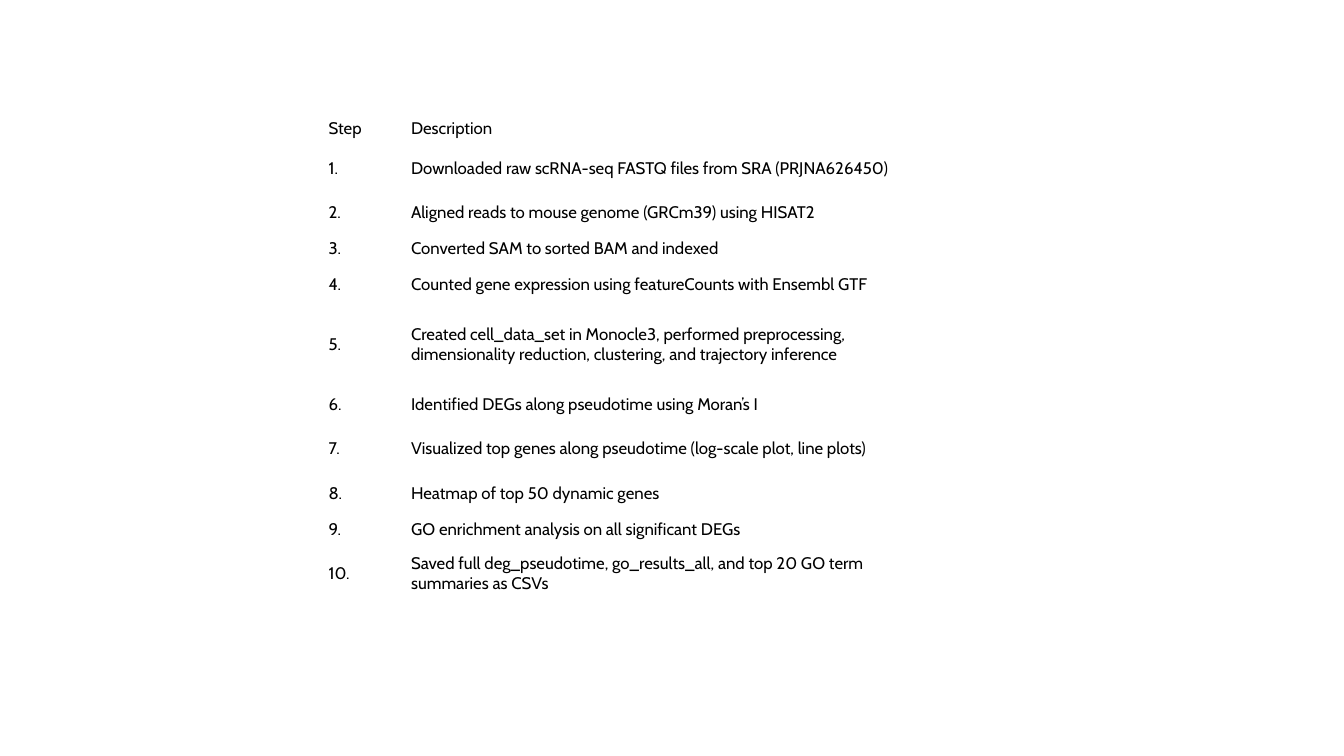
from pptx import Presentation
from pptx.dml.color import RGBColor
from pptx.enum.text import MSO_ANCHOR as Anchor
from pptx.util import Cm, Pt

BLACK = RGBColor(0x00, 0x00, 0x00)

SHORT, MEDIUM, TALL = 0.91, 1.32, 2.11
HEADER = ("Step", "Description")
HEADER_HEIGHT = 0.53
STEPS = [
    ("Downloaded raw scRNA-seq FASTQ files from SRA (PRJNA626450)", MEDIUM),
    ("Aligned reads to mouse genome (GRCm39) using HISAT2", SHORT),
    ("Converted SAM to sorted BAM and indexed", SHORT),
    ("Counted gene expression using featureCounts with Ensembl GTF", SHORT),
    ("Created cell_data_set in Monocle3, performed preprocessing, "
     "dimensionality reduction, clustering, and trajectory inference", TALL),
    ("Identified DEGs along pseudotime using Moran’s I", SHORT),
    ("Visualized top genes along pseudotime (log-scale plot, line plots)", MEDIUM),
    ("Heatmap of top 50 dynamic genes", SHORT),
    ("GO enrichment analysis on all significant DEGs", SHORT),
    ("Saved full deg_pseudotime, go_results_all, and top 20 GO term "
     "summaries as CSVs", MEDIUM),
]


class SlideBuilder:
    """Hold the text style and the current slide, and add elements to it."""

    def __init__(self, s, font="Cabin", size=12, color=BLACK):
        self.s = s
        self.font, self.size, self.color = font, size, color

    def cell(self, cell, text):
        cell.fill.background()
        cell.vertical_anchor = Anchor.MIDDLE
        cell.margin_left = cell.margin_right = Cm(0.13)
        cell.margin_top = cell.margin_bottom = Cm(0.08)
        p = cell.text_frame.paragraphs[0]
        p.text = text
        p.font.name = self.font
        p.font.size = Pt(self.size)
        p.font.bold = False
        p.font.color.rgb = self.color

    def table(self, left, top, widths, heights, rows):
        table = self.s.shapes.add_table(
            len(rows), len(widths), Cm(left), Cm(top),
            Cm(sum(widths)), Cm(sum(heights))).table
        table.first_row = table.horz_banding = False
        for column, width in zip(table.columns, widths):
            column.width = Cm(width)
        for row, height, texts in zip(table.rows, heights, rows):
            row.height = Cm(height)
            for cell, text in zip(row.cells, texts):
                self.cell(cell, text)
        tbl_pr = table._tbl.tblPr
        style_id = tbl_pr.find("{*}tableStyleId")
        style_id.text = "{2D5ABB26-0587-4C30-8999-92F81FD0307C}"


def main():
    prs = Presentation()
    prs.slide_width, prs.slide_height = Cm(33.87), Cm(19.05)
    slide = SlideBuilder(prs.slides.add_slide(prs.slide_layouts[6]))
    rows = [HEADER] + [(f"{n}.", text) for n, (text, _) in enumerate(STEPS, 1)]
    heights = [HEADER_HEIGHT] + [height for _, height in STEPS]
    slide.table(8.15, 2.9, (2.08, 12.7), heights, rows)
    prs.save("out.pptx")


if __name__ == "__main__":
    main()
